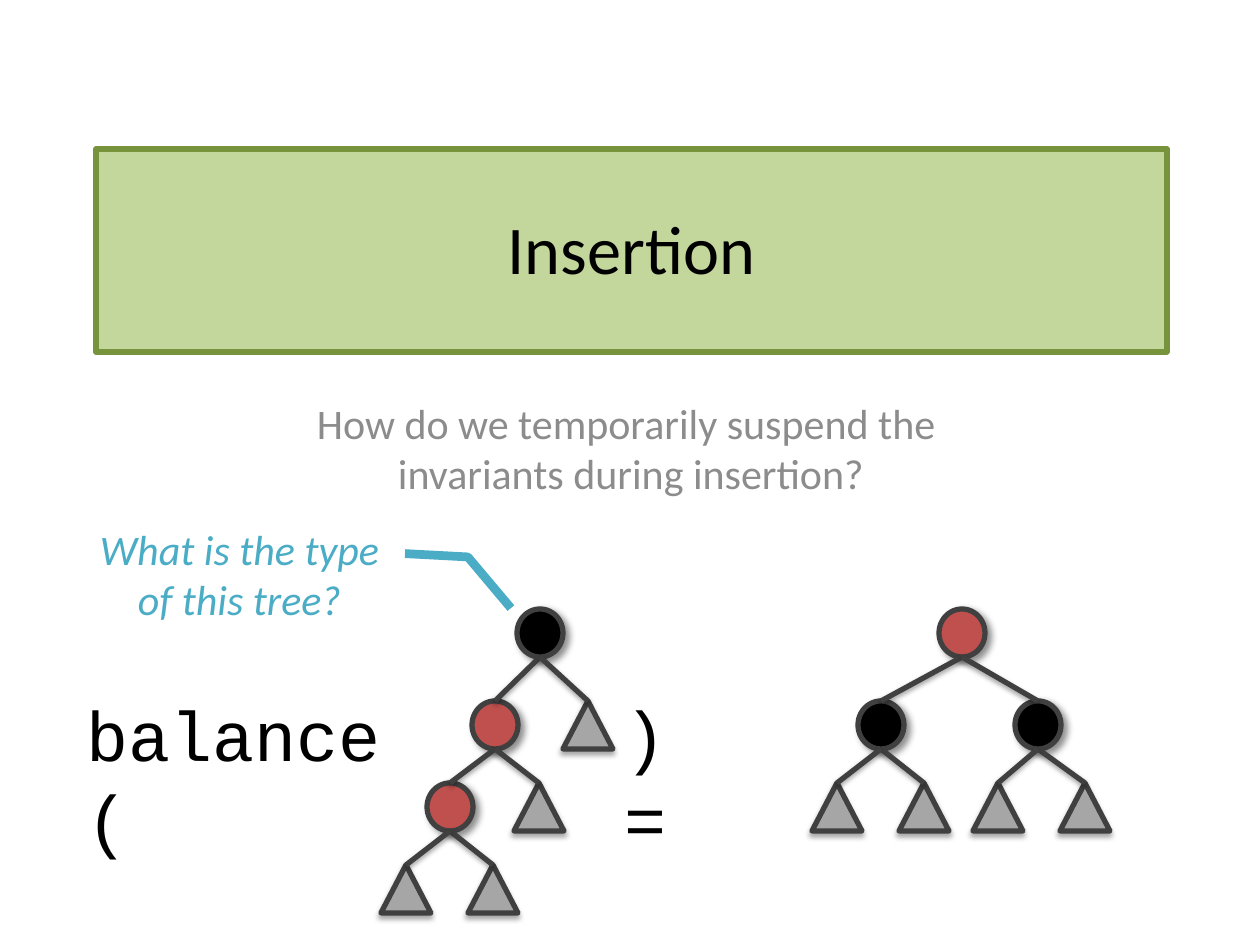
from lxml.etree import SubElement as Sub
from pptx import Presentation
from pptx.dml.color import RGBColor
from pptx.enum.shapes import MSO_CONNECTOR as Line, MSO_SHAPE as Kind
from pptx.enum.text import MSO_ANCHOR as Anchor, PP_ALIGN as Align
from pptx.oxml.ns import qn
from pptx.util import Pt

PX = 914400 / 126
WIDE, HIGH = 46, 48
ROWS = [609, 701, 783, 865]
DARK, GREY, RED, BLACK = "404040", "A6A6A6", "C0504D", "000000"
TREES = [
    [(540, 0, BLACK, None), (495, 1, RED, 0), (450, 2, RED, 1),
     (539, 2, GREY, 1), (588, 1, GREY, 0), (493, 3, GREY, 2), (406, 3, GREY, 2)],
    [(962, 0, RED, None), (881, 1, BLACK, 0), (1038, 1, BLACK, 0),
     (924, 2, GREY, 1), (837, 2, GREY, 1), (1085, 2, GREY, 2), (998, 2, GREY, 2)],
]


def style(shape, line, width, fill=None, shade=None):
    shape.line.color.rgb = RGBColor.from_string(line)
    shape.line.width = Pt(width)
    if fill:
        shape.fill.solid()
        shape.fill.fore_color.rgb = RGBColor.from_string(fill)
    effects = Sub(shape._element.spPr, qn("a:effectLst"))
    if shade:
        alpha, blur, dist, angle = shade
        outer = Sub(effects, qn("a:outerShdw"), blurRad=str(Pt(blur)),
                    dist=str(Pt(dist)), dir=str(angle * 60000), rotWithShape="0")
        tint = Sub(outer, qn("a:srgbClr"), val=BLACK)
        Sub(tint, qn("a:alpha"), val=str(alpha * 1000))


def write(shape, text, size, color, font="Calibri", align=Align.CENTER, anchor=Anchor.TOP):
    frame = shape.text_frame
    frame.word_wrap = True
    frame.vertical_anchor = anchor
    para = frame.paragraphs[0]
    para.text = text
    para.alignment = align
    para.font.name = font
    para.font.size = Pt(size)
    para.font.color.rgb = RGBColor.from_string(color)
    return para


deck = Presentation()
deck.slide_width, deck.slide_height = round(1260 * PX), round(945 * PX)
shapes = deck.slides.add_slide(deck.slide_layouts[6]).shapes

title = shapes.add_shape(Kind.RECTANGLE, *[round(n * PX) for n in (96, 149, 1071, 203)])
style(title, "77933C", 3, "C3D69B")
write(title, "Insertion", 39, BLACK, anchor=Anchor.MIDDLE)
title.text_frame.margin_bottom = Pt(7.2)

box = shapes.add_textbox(*[round(n * PX) for n in (190, 391, 882, 242)])
para = write(box, "How do we temporarily suspend the \vinvariants during insertion?", 24, "8C8C8C")
para.space_before = Pt(8)

for tree in TREES:
    group = shapes.add_group_shape().shapes
    nodes = []
    for x, row, fill, _ in tree:
        leaf = fill == GREY
        kind = Kind.ISOSCELES_TRIANGLE if leaf else Kind.OVAL
        wide = 50 if leaf else WIDE
        spot = (x - wide / 2, ROWS[row], wide, HIGH)
        node = group.add_shape(kind, *[round(n * PX) for n in spot])
        style(node, DARK, 3, fill, (35, 3.1, 1.8, 90) if leaf else (43, 4, 3, 45))
        nodes.append(node)
    for node, (x, row, _, up) in zip(nodes, tree):
        if up is None:
            continue
        ends = (tree[up][0], ROWS[tree[up][1]] + HIGH, x, ROWS[row])
        edge = group.add_connector(Line.STRAIGHT, *[round(n * PX) for n in ends])
        edge.end_connect(node, 0)
        style(edge, DARK, 3, shade=(38, 3.1, 1.6, 90))

for x, wide, text in [(74, 375, "balance ("), (612, 142, ") =")]:
    box = shapes.add_textbox(*[round(n * PX) for n in (x, 685, wide, 97)])
    write(box, text, 40, BLACK, "Courier New", Align.LEFT)

note = shapes.add_shape(Kind.LINE_CALLOUT_2_NO_BORDER,
                        *[round(n * PX) for n in (74, 491, 331, 165)])
note._element.spPr.xfrm.set("flipH", "1")
for i, value in enumerate([0.38, 0, 0.4, -0.19, 0.71, -0.32]):
    note.adjustments[i] = value
style(note, "4BACC6", 5, "FFFFFF")
para = write(note, "What is the type of this tree?", 24, "4BACC6", anchor=Anchor.MIDDLE)
para.font.italic = True

deck.save("out.pptx")
